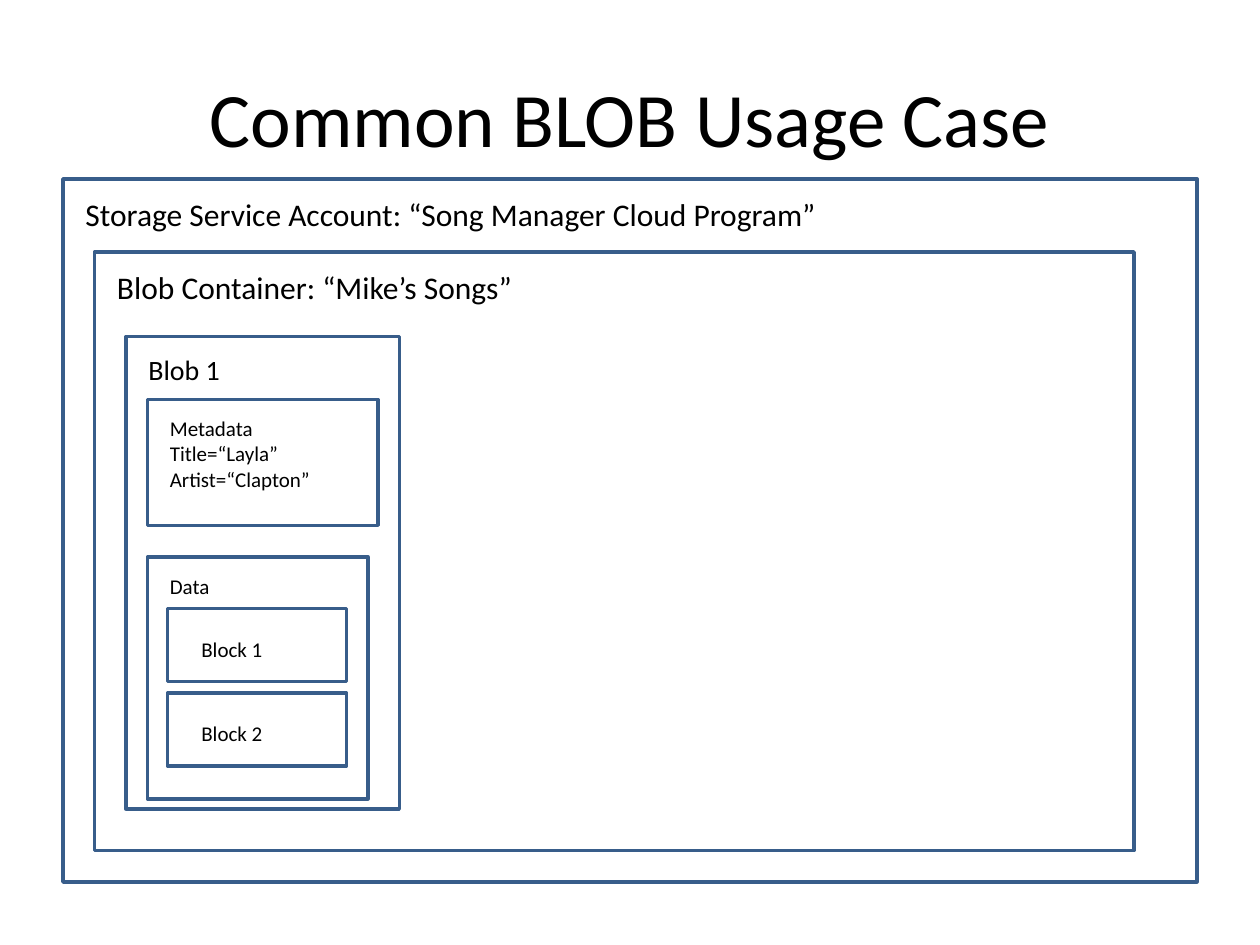
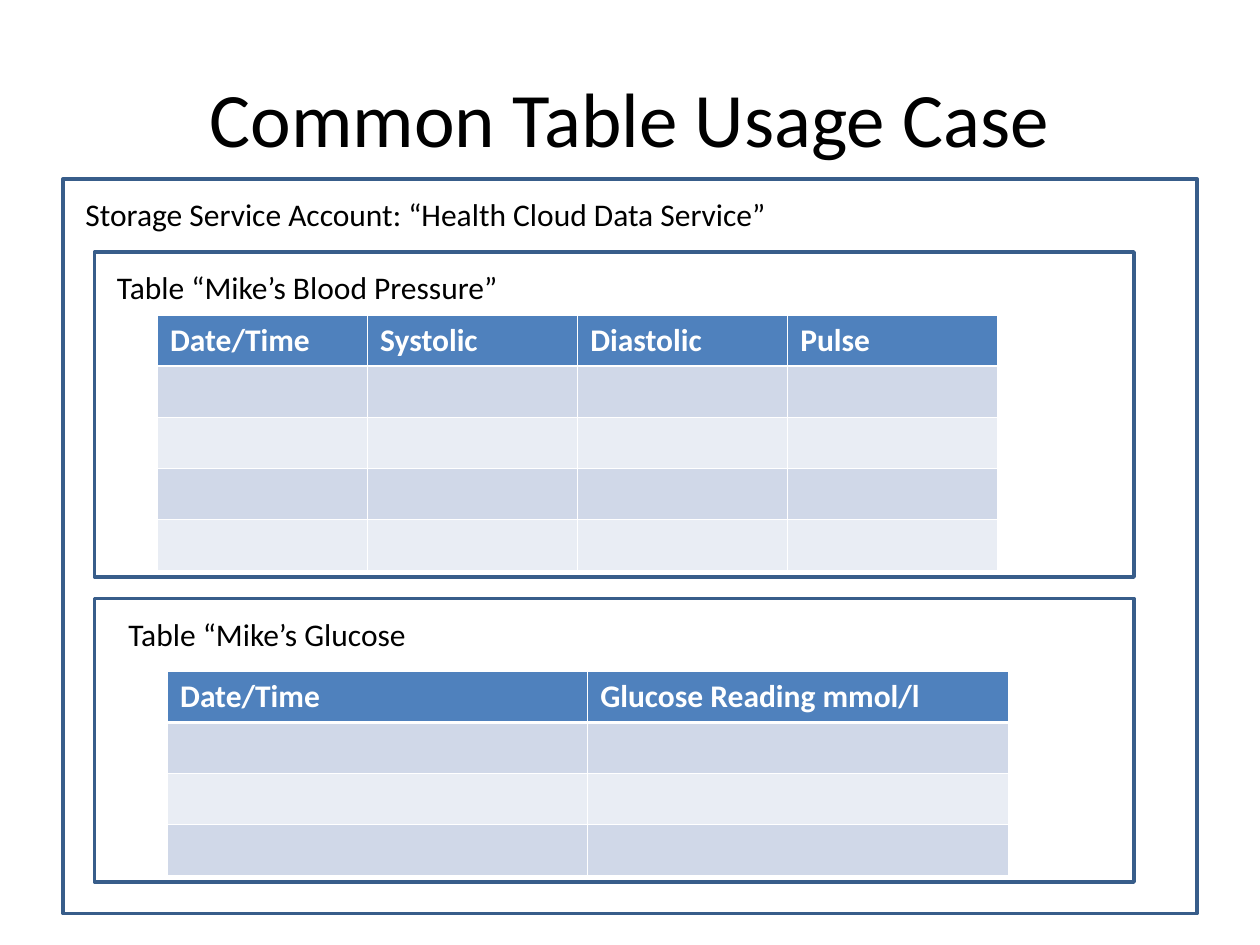
from dataclasses import dataclass
from typing import Any

import pptx
import pptx.dml.color
import pptx.enum.shapes
import pptx.enum.text
import pptx.oxml
import pptx.oxml.ns
import pptx.util
from pptx.util import Inches

HUES = {
    "text": "000000",
    "paper": "FFFFFF",
    "edge": "385D8A",
    "head": "4F81BD",
    "odd": "D0D8E8",
    "even": "E9EDF4",
}
FONT = "Calibri"
ANCHOR = pptx.enum.text.MSO_ANCHOR
FIT = pptx.enum.text.MSO_AUTO_SIZE
TITLE = {"word_wrap": True, "vertical_anchor": ANCHOR.MIDDLE}
LABEL = {"word_wrap": True, "auto_size": FIT.SHAPE_TO_FIT_TEXT}
THIN, THICK = 0.45, 1.47


@dataclass
class Box:
    """A framed area; its label starts at pad from the top left corner."""
    left: float
    top: float
    width: float
    height: float
    label: str
    wide: float
    high: float
    size: int = 18
    pad: tuple[float, float] = (0.08, 0.08)


@dataclass
class Grid:
    left: float
    top: float
    width: float
    height: float
    heads: list[str]
    rows: int


def hue(name: str) -> pptx.dml.color.RGBColor:
    return pptx.dml.color.RGBColor.from_string(HUES[name])


def style(item: Any, values: dict[str, Any]) -> None:
    for name, value in values.items():
        setattr(item, name, value)


def write(frame: Any, text: str, size: int, color: str = "text",
          bold: bool = False, align: Any = None) -> None:
    look = {"name": FONT, "size": pptx.util.Pt(size), "bold": bold}
    frame.text = text
    for para in frame.paragraphs:
        para.alignment = align
        for run in para.runs:
            style(run.font, look)
            run.font.color.rgb = hue(color)


def place(left: float, top: float, width: float, height: float) -> list[int]:
    return [Inches(n) for n in (left, top, width, height)]


def add_title(slide: Any, text: str) -> None:
    frame = slide.shapes.add_textbox(*place(0.5, 0.3, 9, 1.25)).text_frame
    style(frame, TITLE)
    write(frame, text, 44, align=pptx.enum.text.PP_ALIGN.CENTER)


def add_box(slide: Any, box: Box) -> None:
    kind = pptx.enum.shapes.MSO_SHAPE.RECTANGLE
    rect = slide.shapes.add_shape(
        kind, *place(box.left, box.top, box.width, box.height))
    rect.shadow.inherit = False
    rect.fill.solid()
    rect.fill.fore_color.rgb = hue("paper")
    rect.line.color.rgb = hue("edge")
    rect.line.width = pptx.util.Pt(2)
    across, down = box.pad
    note = slide.shapes.add_textbox(
        *place(box.left + across, box.top + down, box.wide, box.high))
    style(note.text_frame, LABEL)
    write(note.text_frame, box.label, box.size)


def add_rules(cell: Any, row: int) -> None:
    """Draw white borders, thick between the head row and the body."""
    widths = {"lnL": THIN, "lnR": THIN,
              "lnT": THICK if row == 1 else THIN,
              "lnB": THICK if row == 0 else THIN}
    props = cell._tc.get_or_add_tcPr()
    for tag, width in widths.items():
        props.append(pptx.oxml.parse_xml(
            f'<a:{tag} {pptx.oxml.ns.nsdecls("a")} w="{pptx.util.Pt(width)}">'
            f'<a:solidFill><a:srgbClr val="{HUES["paper"]}"/></a:solidFill>'
            f'</a:{tag}>'))


def add_grid(slide: Any, grid: Grid) -> None:
    count = len(grid.heads)
    table = slide.shapes.add_table(
        grid.rows, count,
        *place(grid.left, grid.top, grid.width, grid.height)).table
    for col in table.columns:
        col.width = Inches(grid.width / count)
    for r, row in enumerate(table.rows):
        row.height = Inches(grid.height / grid.rows)
        band = "head" if r == 0 else "odd" if r % 2 else "even"
        for c, cell in enumerate(row.cells):
            add_rules(cell, r)
            cell.fill.solid()
            cell.fill.fore_color.rgb = hue(band)
            if r == 0:
                write(cell.text_frame, grid.heads[c], 18, "paper", bold=True)


def account(name: str, height: float) -> Box:
    label = f"Storage Service Account: “{name}”"
    return Box(0.5, 1.42, 9, height, label, 7.67, 0.4)


def holder(top: float, height: float, label: str,
           pad: tuple[float, float] = (0.08, 0.08)) -> Box:
    return Box(0.75, top, 8.25, height, label, 4.25, 0.7, pad=pad)


def block(index: int) -> Box:
    top = 4.83 + 0.67 * index
    return Box(1.33, top, 1.42, 0.58, f"Block {index + 1}",
               1, 0.3, 12, (0.17, 0.17))


SONGS = [
    account("Song Manager Cloud Program", 5.58),
    holder(2, 4.75, "Blob Container: “Mike’s Songs”"),
    Box(1, 2.67, 2.17, 3.75, "Blob 1", 1.83, 0.37, 16),
    Box(1.17, 3.17, 1.83, 1, "Metadata\nTitle=“Layla”\nArtist=“Clapton”",
        1.5, 0.9, 12),
    Box(1.17, 4.42, 1.75, 1.92, "Data", 1.5, 0.5, 12),
    *(block(i) for i in range(2)),
]
HEALTH = [
    account("Health Cloud Data Service", 5.83),
    holder(2, 2.58, "Table “Mike’s Blood Pressure”"),
    holder(4.75, 2.25, "Table “Mike’s Glucose", (0.17, 0.08)),
]
GRIDS = [
    Grid(1.25, 2.5, 6.67, 2.03,
         ["Date/Time", "Systolic", "Diastolic", "Pulse"], 5),
    Grid(1.33, 5.33, 6.67, 1.62,
         ["Date/Time", "Glucose Reading mmol/l"], 4),
]
PAGES = [
    ("Common BLOB Usage Case", SONGS, []),
    ("Common Table Usage Case", HEALTH, GRIDS),
]


def main() -> None:
    deck = pptx.Presentation()
    style(deck, {"slide_width": Inches(10), "slide_height": Inches(7.5)})
    for title, boxes, grids in PAGES:
        slide = deck.slides.add_slide(deck.slide_layouts[6])
        add_title(slide, title)
        for box in boxes:
            add_box(slide, box)
        for grid in grids:
            add_grid(slide, grid)
    deck.save("out.pptx")


if __name__ == "__main__":
    main()
